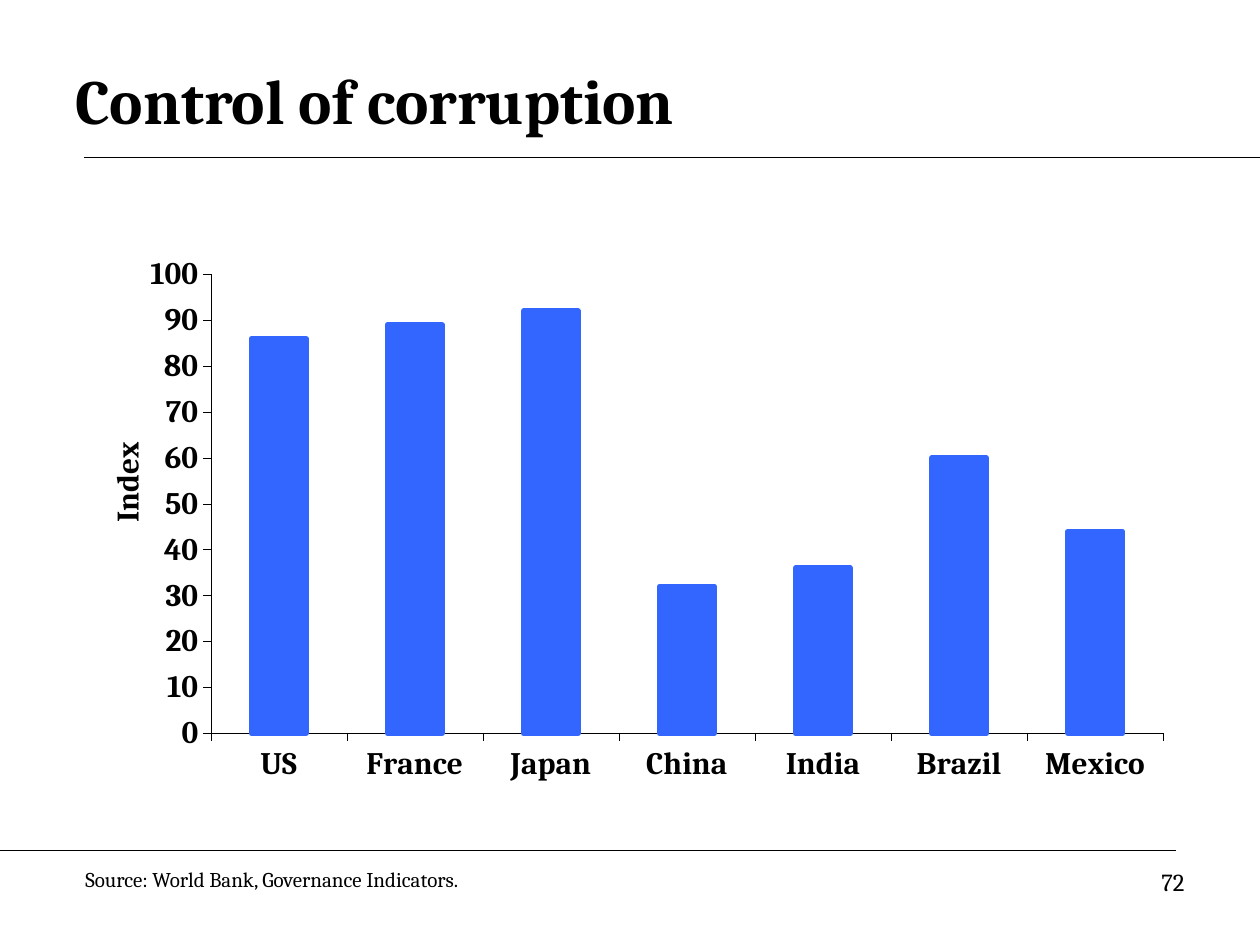
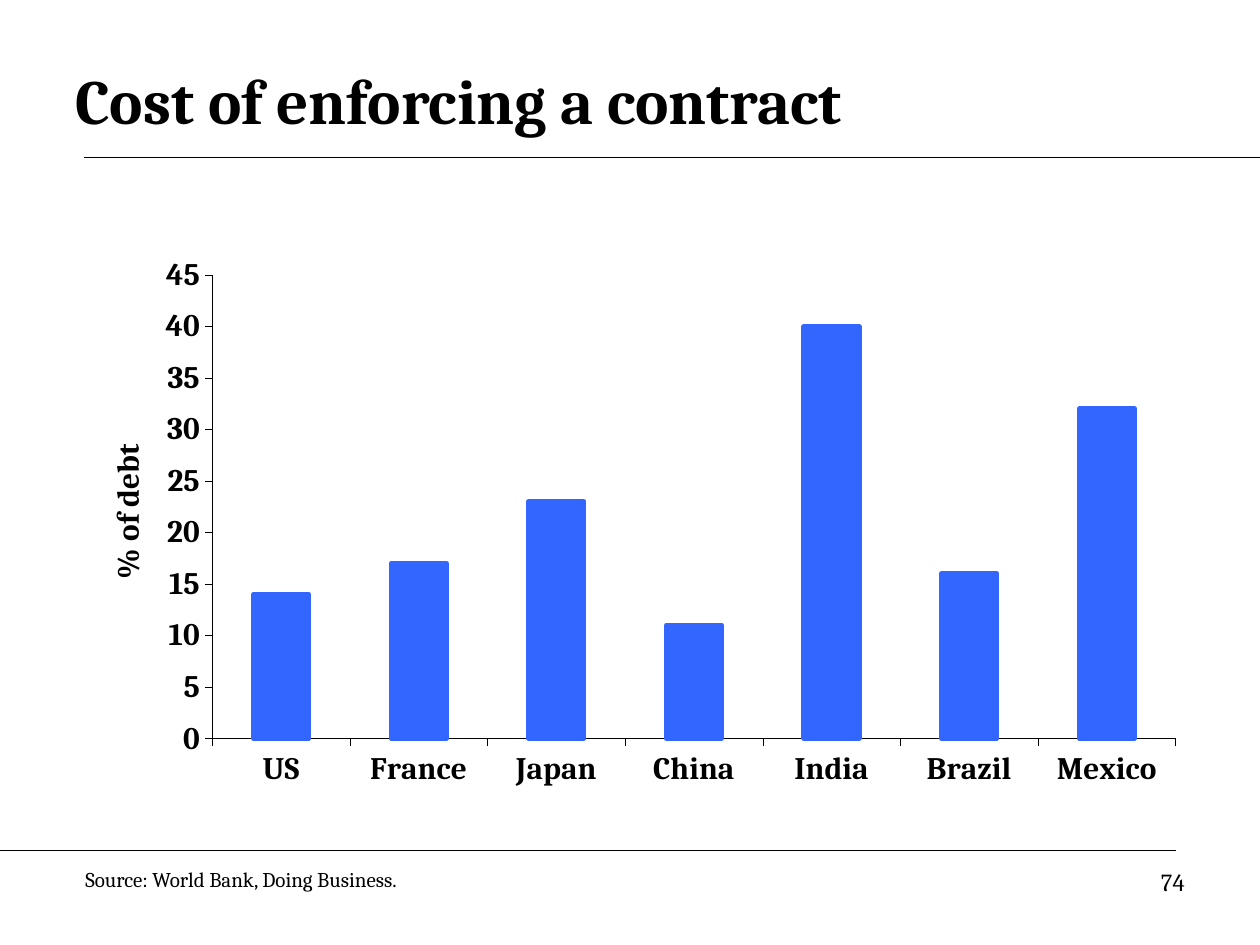
from dataclasses import dataclass

from lxml import etree
from pptx import Presentation
from pptx.chart.data import CategoryChartData
from pptx.dml.color import RGBColor
from pptx.enum.chart import XL_CHART_TYPE, XL_TICK_MARK
from pptx.enum.shapes import MSO_CONNECTOR
from pptx.enum.text import MSO_ANCHOR, PP_ALIGN
from pptx.oxml.ns import qn
from pptx.util import Inches, Pt

COLUMN = XL_CHART_TYPE.COLUMN_CLUSTERED
OUTSIDE = XL_TICK_MARK.OUTSIDE
NONE = XL_TICK_MARK.NONE
STRAIGHT = MSO_CONNECTOR.STRAIGHT
LEFT, RIGHT = PP_ALIGN.LEFT, PP_ALIGN.RIGHT
TOP, MIDDLE = MSO_ANCHOR.TOP, MSO_ANCHOR.MIDDLE


@dataclass(frozen=True)
class Theme:
    ink: RGBColor = RGBColor(0, 0, 0)
    bar: RGBColor = RGBColor(0x33, 0x66, 0xFF)
    face: str = "Cambria"
    title: float = 36
    axis: float = 17.9
    source: float = 12
    number: float = 14
    rule: float = 0.75
    hair: float = 0.25
    edge: float = 3


THEME = Theme()
WIDTH, HEIGHT = 10, 7.5
HEAD = (0.5, 0.33, 9, 0.92)
FOOT = (0, 6.75, 9.33, 0.75)
LANDS = ("US", "France", "Japan", "China", "India", "Brazil", "Mexico")
PLOT = {"x": 0.127, "y": 0.077, "w": 0.863, "h": 0.762}
LABEL = {"x": 0.027, "y": 0.345}

SLIDES = (
    {
        "title": "Control of corruption",
        "unit": "Index",
        "values": (86, 89, 92, 32, 36, 60, 44),
        "top": 100,
        "step": 10,
        "box": (0.56, 1.81, 8.76, 4.78),
        "source": "Source: World Bank, Governance Indicators.",
        "number": "72",
    },
    {
        "title": "Cost of enforcing a contract",
        "unit": "% of debt",
        "values": (14, 17, 23, 11, 40, 16, 32),
        "top": 45,
        "step": 5,
        "box": (0.56, 1.81, 8.86, 4.83),
        "source": "Source: World Bank, Doing Business.",
        "number": "74",
    },
)


def style(font, size, bold=False):
    font.name = THEME.face
    font.size = Pt(size)
    font.bold = bold
    font.color.rgb = THEME.ink


def write(frame, text, size, bold=False, align=LEFT, anchor=TOP):
    frame.word_wrap = True
    frame.vertical_anchor = anchor
    para = frame.paragraphs[0]
    para.alignment = align
    run = para.add_run()
    run.text = text
    style(run.font, size, bold)


def rule(slide, left, right, y):
    line = slide.shapes.add_connector(
        STRAIGHT, Inches(left), Inches(y), Inches(right), Inches(y)
    )
    line.line.color.rgb = THEME.ink
    line.line.width = Pt(THEME.rule)
    etree.SubElement(line._element.spPr, qn("a:effectLst"))


def header(slide, box, text):
    left, top, width, height = box
    title = slide.shapes.title
    title.left, title.top = Inches(left), Inches(top)
    title.width, title.height = Inches(width), Inches(height)
    write(title.text_frame, text, THEME.title, bold=True, anchor=MIDDLE)
    rule(slide, left + 0.17, WIDTH, top + height)


def footer(slide, box, source, number):
    left, top, width, height = box
    rule(slide, left, left + width, top)
    note = slide.shapes.add_textbox(
        Inches(left + 0.58), Inches(top + 0.08), Inches(4.83), Inches(0.3)
    )
    write(note.text_frame, source, THEME.source)
    page = slide.shapes.add_textbox(
        Inches(left + width - 2.16), Inches(top + 0.08), Inches(2.33), Inches(0.52)
    )
    write(page.text_frame, number, THEME.number, align=RIGHT)


def place(layout, inner=False, **spots):
    manual = etree.SubElement(layout, qn("c:manualLayout"))
    if inner:
        etree.SubElement(manual, qn("c:layoutTarget")).set("val", "inner")
    for key in ("x", "y"):
        etree.SubElement(manual, qn(f"c:{key}Mode")).set("val", "edge")
    for key, value in spots.items():
        etree.SubElement(manual, qn(f"c:{key}")).set("val", str(value))


def layout(parent, index):
    found = parent.find(qn("c:layout"))
    if found is None:
        found = etree.Element(qn("c:layout"))
        parent.insert(index, found)
    return found


def columns(slide, box, unit, values, top, step):
    data = CategoryChartData()
    data.categories = LANDS
    data.add_series("Series 1", values)
    chart = slide.shapes.add_chart(COLUMN, *map(Inches, box), data).chart
    chart.has_legend = False
    chart.has_title = False
    style(chart.font, THEME.axis, bold=True)

    plot = chart.plots[0]
    plot.gap_width = 150
    plot.vary_by_categories = False
    series = plot.series[0].format
    series.fill.solid()
    series.fill.fore_color.rgb = THEME.bar
    series.line.color.rgb = THEME.bar
    series.line.width = Pt(THEME.edge)

    for axis in (chart.category_axis, chart.value_axis):
        axis.has_major_gridlines = False
        axis.major_tick_mark = OUTSIDE
        axis.minor_tick_mark = NONE
        axis.format.line.color.rgb = THEME.ink
        axis.format.line.width = Pt(THEME.hair)
        style(axis.tick_labels.font, THEME.axis, bold=True)

    scale = chart.value_axis
    scale.minimum_scale = 0
    scale.maximum_scale = top
    scale.major_unit = step
    para = scale.axis_title.text_frame.paragraphs[0]
    run = para.add_run()
    run.text = unit
    style(run.font, THEME.axis, bold=True)

    place(layout(scale.axis_title._element, 1), **LABEL)
    area = chart._chartSpace.find(".//" + qn("c:plotArea"))
    place(layout(area, 0), inner=True, **PLOT)


def build(deck, item):
    slide = deck.slides.add_slide(deck.slide_layouts[5])
    header(slide, HEAD, item["title"])
    columns(
        slide, item["box"], item["unit"], item["values"], item["top"], item["step"]
    )
    footer(slide, FOOT, item["source"], item["number"])


def main():
    deck = Presentation()
    deck.slide_width, deck.slide_height = Inches(WIDTH), Inches(HEIGHT)
    for item in SLIDES:
        build(deck, item)
    deck.save("out.pptx")


if __name__ == "__main__":
    main()
